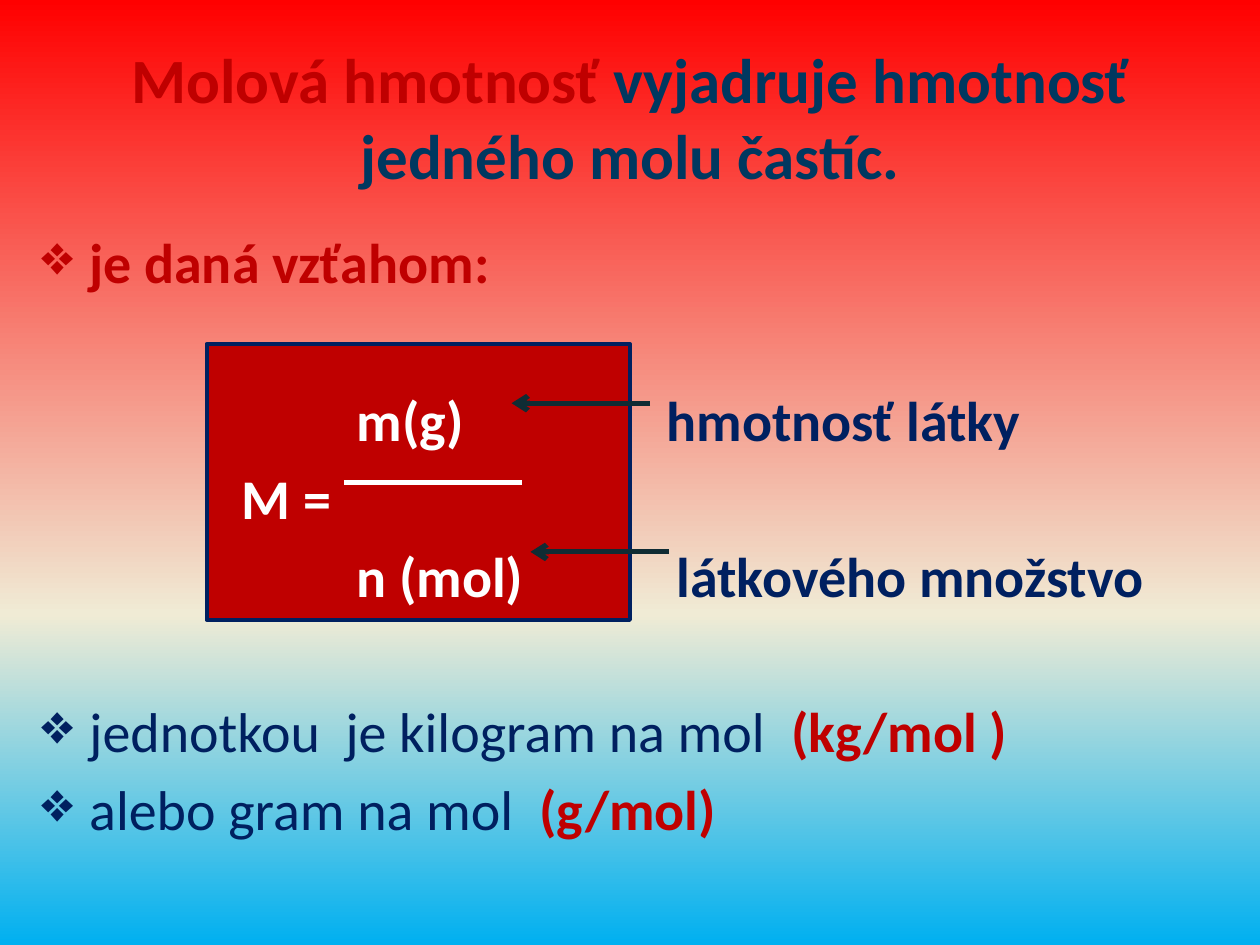
from copy import deepcopy
from dataclasses import dataclass
from lxml.etree import SubElement as Sub
from pptx import Presentation
from pptx.dml.color import RGBColor as RGB
from pptx.enum.shapes import MSO_CONNECTOR as Conn, MSO_SHAPE as Shape
from pptx.enum.text import MSO_ANCHOR as Anchor, PP_ALIGN as Align
from pptx.oxml.ns import qn
from pptx.util import Inches, Pt


@dataclass(frozen=True)
class Theme:
    font: str = "Calibri"
    head: int = 36
    text: int = 32
    red: str = "BF0000"
    navy: str = "002060"
    teal: str = "003860"
    dark: str = "102C34"
    white: str = "FFFFFF"
    sky: tuple = ((0, "FF0000"), (0.65, "F0EBD5"), (1, "00B0F0"))


T = Theme()
PITCH = 0.62


def paint(slide):
    fill = slide.background.fill
    fill.gradient()
    fill.gradient_angle = 270
    stops = slide.background._element.find(".//" + qn("a:gsLst"))
    stops.insert(1, deepcopy(stops[0]))
    for stop, (pos, color) in zip(fill.gradient_stops, T.sky):
        stop.position = pos
        stop.color.rgb = RGB.from_string(color)


def write(par, size, runs):
    par.font.name = T.font
    par.font.size = Pt(size)
    for text, color, bold in runs:
        run = par.add_run()
        run.text = text
        run.font.bold = bold
        run.font.color.rgb = RGB.from_string(color)


def frame(slide, x, y, w, h):
    box = slide.shapes.add_textbox(Inches(x), Inches(y), Inches(w), Inches(h))
    box.text_frame.word_wrap = True
    return box.text_frame


def title(slide, x, y, w, h):
    shape = slide.shapes.title
    shape.left, shape.top = Inches(x), Inches(y)
    shape.width, shape.height = Inches(w), Inches(h)
    shape.text_frame.vertical_anchor = Anchor.MIDDLE
    par = shape.text_frame.paragraphs[0]
    par.alignment = Align.CENTER
    write(par, T.head, [
        ("Molová hmotnosť ", T.red, True),
        ("vyjadruje hmotnosť jedného molu častíc.", T.teal, True),
    ])


def points(slide, x, y, w, rows):
    body = frame(slide, x, y, w, PITCH * len(rows) + 0.1)
    for i, runs in enumerate(rows):
        par = body.add_paragraph() if i else body.paragraphs[0]
        if i:
            par.space_before = Pt(6)
        props = par._p.get_or_add_pPr()
        props.set("marL", str(Inches(0.38)))
        props.set("indent", str(-Inches(0.38)))
        Sub(props, qn("a:buChar"), char="❖")
        write(par, T.text, runs)


def label(slide, x, y, w, text, color):
    body = frame(slide, x, y, w, PITCH)
    body.margin_left = body.margin_right = 0
    write(body.paragraphs[0], T.text, [(text, color, True)])


def rule(slide, x, y, end, color, arrow=False):
    line = slide.shapes.add_connector(
        Conn.STRAIGHT, Inches(x), Inches(y), Inches(end), Inches(y))
    line.line.width = Pt(3)
    line.line.color.rgb = RGB.from_string(color)
    if arrow:
        Sub(line.line._get_or_add_ln(), qn("a:tailEnd"), type="arrow")
    Sub(line._element.spPr, qn("a:effectLst"))


def ratio(slide, x, y, w, h):
    card = slide.shapes.add_shape(
        Shape.RECTANGLE, Inches(x), Inches(y), Inches(w), Inches(h))
    card.shadow.inherit = False
    card.fill.solid()
    card.fill.fore_color.rgb = RGB.from_string(T.red)
    card.line.color.rgb = RGB.from_string(T.navy)
    card.line.width = Pt(2.25)
    top = y + 0.28
    for dx, row, wide, text, color in (
        (1.19, 0, 1.2, "m(g)", T.white),
        (0.28, 1, 0.9, "M =", T.white),
        (1.19, 2, 1.6, "n (mol)", T.white),
        (3.65, 0, 3.2, "hmotnosť látky", T.navy),
        (3.73, 2, 4.2, "látkového množstvo", T.navy),
    ):
        label(slide, x + dx, top + row * PITCH, wide, text, color)
    rule(slide, x + 1.09, y + 1.1, x + 2.5, T.white)
    for dx, dy in ((3.52, 0.47), (3.67, 1.65)):
        rule(slide, x + dx, y + dy, x + dx - 1.1, T.dark, True)


def main():
    deck = Presentation()
    deck.slide_width, deck.slide_height = Inches(10), Inches(7.5)
    slide = deck.slides.add_slide(deck.slide_layouts[5])
    paint(slide)
    title(slide, 0.5, 0.3, 9, 1.25)
    left, top, width = 0.23, 1.76, 9.53
    points(slide, left, top, width, [[("je daná vzťahom:", T.red, True)]])
    ratio(slide, 1.64, 2.73, 3.36, 2.19)
    points(slide, left, top + 6 * PITCH, width, [
        [("jednotkou  je kilogram na mol  ", T.navy, False),
         ("(kg/mol )", T.red, True)],
        [("alebo gram na mol  ", T.navy, False), ("(g/mol)", T.red, True)],
    ])
    deck.save("out.pptx")


if __name__ == "__main__":
    main()
